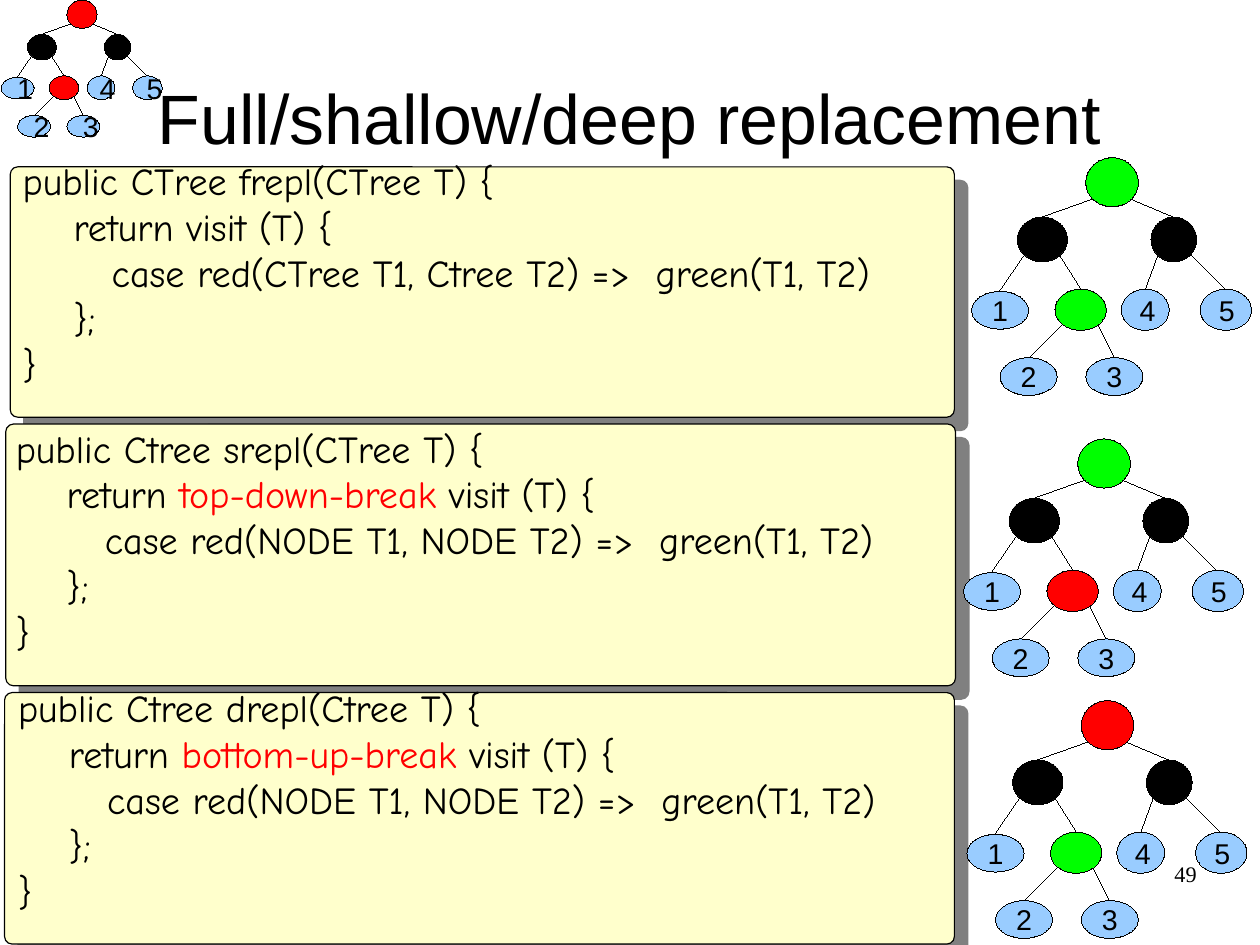
from lxml import etree
from pptx import Presentation
from pptx import util as u
from pptx.dml.color import RGBColor
from pptx.enum import shapes, text
from pptx.oxml import ns

BLACK = RGBColor(0x00, 0x00, 0x00)
RED = RGBColor(0xFF, 0x00, 0x00)
GREEN = RGBColor(0x00, 0xFF, 0x00)
BLUE = RGBColor(0x99, 0xCC, 0xFF)
CREAM = RGBColor(0xFF, 0xFF, 0xCC)
SHADOW_GRAY = "808080"

SLIDE_WIDTH, SLIDE_HEIGHT = u.Cm(28), u.Cm(21)
TREE_COLUMNS, TREE_ROWS = 245, 208
TREE_EDGES = [
    (106, 36, 61, 52), (139, 36, 177, 52),
    (46, 85, 24, 117), (77, 85, 96, 115),
    (163, 85, 152, 115), (192, 85, 222, 115),
    (125, 175, 100, 125), (50, 175, 100, 125),
]
BLACK_NODES = [(40, 52, 44, 39), (157, 52, 40, 39)]
LEAVES = {
    "1": (0, 117, 50, 33),
    "2": (25, 175, 50, 33),
    "3": (100, 175, 50, 33),
    "4": (131, 115, 42, 36),
    "5": (200, 115, 45, 36),
}
ROOT_NODE = (100, 0, 46, 43)
INNER_NODE = (73, 115, 45, 36)


def inches(values):
    """Convert a sequence of inches to lengths."""
    return [u.Inches(value) for value in values]


def add_run(paragraph, words, font_name, size, color=BLACK):
    """Append one formatted run."""
    run = paragraph.add_run()
    run.text = words
    run.font.name = font_name
    run.font.size = u.Pt(size)
    run.font.color.rgb = color


def add_text_frame(slide, box, inset=(0, 0)):
    """Add a wrapping text box and return its frame."""
    frame = slide.shapes.add_textbox(*inches(box)).text_frame
    frame.word_wrap = True
    frame.margin_left = frame.margin_right = u.Inches(inset[0])
    frame.margin_top = frame.margin_bottom = u.Inches(inset[1])
    return frame


def add_line_of_text(slide, box, words, font_name, size, alignment, anchor):
    """Place a single line such as the title or slide number."""
    frame = add_text_frame(slide, box)
    frame.vertical_anchor = anchor
    paragraph = frame.paragraphs[0]
    paragraph.alignment = alignment
    add_run(paragraph, words, font_name, size)


def add_drop_shadow(shape):
    """Give a shape a hard gray shadow to the lower right."""
    shape.shadow.inherit = False
    effects = shape._element.spPr.find(ns.qn("a:effectLst"))
    shadow = etree.SubElement(effects, ns.qn("a:outerShdw"), dist=str(u.Pt(12)),
                              dir="2700000", algn="ctr", rotWithShape="0")
    etree.SubElement(shadow, ns.qn("a:srgbClr"), val=SHADOW_GRAY)


def set_hairline(shape):
    """Outline a shape with the thinnest black line."""
    shape.line.color.rgb = BLACK
    shape._element.spPr.find(ns.qn("a:ln")).set("w", "0")


def add_code_panel(slide, box, text_offset, code):
    """Draw a shadowed panel with its code, given as lines of colored runs."""
    panel = slide.shapes.add_shape(shapes.MSO_SHAPE.ROUNDED_RECTANGLE, *inches(box))
    panel.adjustments[0] = 0.03
    panel.fill.solid()
    panel.fill.fore_color.rgb = CREAM
    panel.line.color.rgb = BLACK
    panel.line.width = u.Pt(0.75)
    add_drop_shadow(panel)
    text_box = (box[0] + text_offset[0], box[1] + text_offset[1], 8.43, 2.42)
    frame = add_text_frame(slide, text_box, (0.1, 0.05))
    for index, runs in enumerate(code):
        paragraph = frame.add_paragraph() if index else frame.paragraphs[0]
        for words, color in runs:
            add_run(paragraph, words, "Comic Neue", 24, color)


def replacement_code(name, result, argument, strategy, case):
    """Return the colored code lines of one replacement method."""
    visit = [("    return visit (T) {", BLACK)]
    if strategy:
        visit = [("    return ", BLACK), (strategy, RED), (" visit (T) {", BLACK)]
    return [
        [(f"public {result} {name}({argument} T) {{", BLACK)],
        visit,
        [(f"       case red({case}) =>  green(T1, T2)", BLACK)],
        [("    };", BLACK)],
        [("}", BLACK)],
    ]


def add_node(group, box, color, label=""):
    """Draw one tree node with an optional label."""
    node = group.shapes.add_shape(shapes.MSO_SHAPE.OVAL, *inches(box))
    node.shadow.inherit = False
    node.fill.solid()
    node.fill.fore_color.rgb = color
    set_hairline(node)
    if label:
        paragraph = node.text_frame.paragraphs[0]
        paragraph.alignment = text.PP_ALIGN.CENTER
        add_run(paragraph, label, "Arial", 18)


def add_tree(slide, box, root_color, inner_color):
    """Draw a grouped tree on a grid stretched over the box."""
    left, top, width, height = box
    column, row = width / TREE_COLUMNS, height / TREE_ROWS
    group = slide.shapes.add_group_shape()
    for x1, y1, x2, y2 in TREE_EDGES:
        ends = (left + x1 * column, top + y1 * row,
                left + x2 * column, top + y2 * row)
        edge = group.shapes.add_connector(shapes.MSO_CONNECTOR.STRAIGHT, *inches(ends))
        set_hairline(edge)
        etree.SubElement(edge._element.spPr, ns.qn("a:effectLst"))
    nodes = [(ROOT_NODE, root_color, ""), (INNER_NODE, inner_color, "")]
    nodes += [(cell, BLACK, "") for cell in BLACK_NODES]
    nodes += [(cell, BLUE, label) for label, cell in LEAVES.items()]
    for (x, y, w, h), color, label in nodes:
        node_box = (left + x * column, top + y * row, w * column, h * row)
        add_node(group, node_box, color, label)


def main():
    """Build and save the replacement slide."""
    presentation = Presentation()
    presentation.slide_width = SLIDE_WIDTH
    presentation.slide_height = SLIDE_HEIGHT
    slide = presentation.slides.add_slide(presentation.slide_layouts[6])

    nodes_case = "NODE T1, NODE T2"
    panels = [
        ((0.09, 1.46, 8.26, 2.19), (0.01, -0.13),
         ("frepl", "CTree", "CTree", "", "CTree T1, Ctree T2")),
        ((0.05, 3.71, 8.31, 2.29), (-0.01, -0.04),
         ("srepl", "Ctree", "CTree", "top-down-break", nodes_case)),
        ((0.04, 6.06, 8.31, 2.2), (0.02, -0.12),
         ("drepl", "Ctree", "Ctree", "bottom-up-break", nodes_case)),
    ]
    for box, text_offset, method in panels:
        add_code_panel(slide, box, text_offset, replacement_code(*method))

    add_line_of_text(slide, (0.55, 0.33, 9.92, 1.38), "Full/shallow/deep replacement",
                     "Arial", 44, text.PP_ALIGN.CENTER, text.MSO_ANCHOR.MIDDLE)

    trees = [
        ((8.5, 1.38, 2.45, 2.08), GREEN, GREEN),
        ((8.43, 3.84, 2.45, 2.08), GREEN, RED),
        ((8.46, 6.13, 2.45, 2.08), RED, GREEN),
        ((0.01, 0, 1.41, 1.2), RED, RED),
    ]
    for box, root_color, inner_color in trees:
        add_tree(slide, box, root_color, inner_color)

    add_line_of_text(slide, (7.9, 7.53, 2.57, 0.57), "49", "Times New Roman", 14,
                     text.PP_ALIGN.RIGHT, text.MSO_ANCHOR.TOP)
    presentation.save("out.pptx")


if __name__ == "__main__":
    main()
